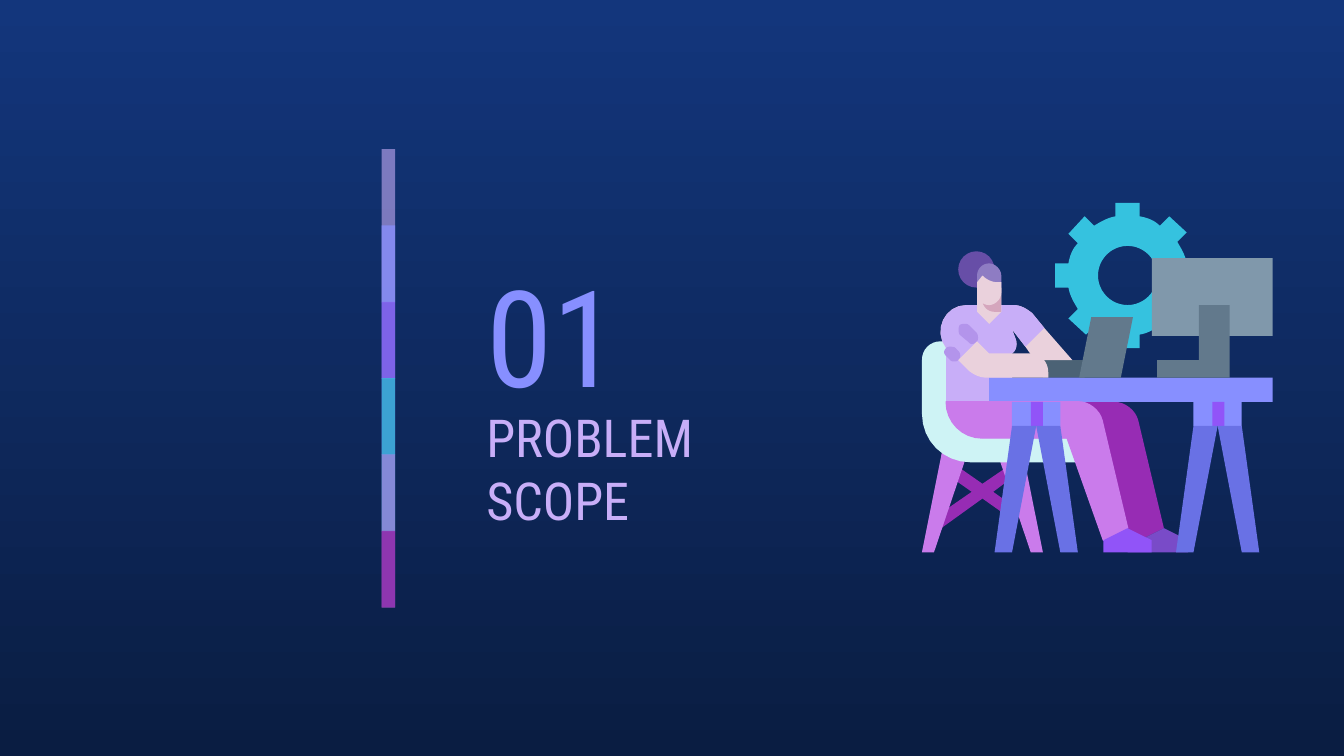
import math

import lxml.etree
import pptx
import pptx.dml.color
import pptx.enum.shapes
import pptx.enum.text
import pptx.oxml.ns
import pptx.util

Inches = pptx.util.Inches
KIND = pptx.enum.shapes.MSO_SHAPE
FONT = "Roboto Condensed"
HUES = {
    "top": "13367C", "base": "0A1D42", "lilac": "C8AEF8", "blue": "878FFF",
    "violet": "9154F8", "cyan": "35C2DF", "orchid": "CA7BEB", "plum": "972CB4",
    "slate": "4B6275", "steel": "62798C", "grey": "8098AB", "mint": "CEF3F5",
    "shoe": "794BC8", "skin": "EAD1DC", "shade": "D5A6BD", "fold": "B394EB",
    "indigo": "6971E5", "bun": "674EA7", "hair": "8E7CC3",
}


def rgb(hue):
    return pptx.dml.color.RGBColor.from_string(HUES[hue])


def paint(shape, hue, alpha=None):
    shape.shadow.inherit = False
    shape.fill.solid()
    shape.fill.fore_color.rgb = rgb(hue)
    shape.line.fill.background()
    if alpha:
        tag = pptx.oxml.ns.qn("a:srgbClr")
        color = next(shape.fill._xPr.iter(tag))
        node = lxml.etree.SubElement(color, pptx.oxml.ns.qn("a:alpha"))
        node.set("val", str(alpha * 1000))
    return shape


def block(shapes, hue, x, y, w, h, kind=KIND.RECTANGLE, alpha=None):
    spot = [Inches(n) for n in (x, y, w, h)]
    return paint(shapes.add_shape(kind, *spot), hue, alpha)


def trace(path):
    """Turn (x, y) corners and six-number Bezier steps into points."""
    points = []
    for step in path:
        if len(step) == 2:
            points.append(step)
            continue
        nodes = [points[-1], step[:2], step[2:4], step[4:]]
        for i in range(1, 9):
            t = i / 8
            parts = ((1 - t) ** 3, 3 * t * (1 - t) ** 2, 3 * t * t * (1 - t), t ** 3)
            points.append(tuple(sum(p * n[k] for p, n in zip(parts, nodes))
                                for k in (0, 1)))
    return points


def draw(shapes, hue, *paths):
    build = None
    for path in paths:
        first, *rest = [(Inches(x), Inches(y)) for x, y in trace(path)]
        if build is None:
            build = shapes.build_freeform(*first)
        else:
            build.move_to(*first)
        build.add_line_segments(rest, close=True)
    return paint(build.convert_to_shape(), hue)


def write(slide, text, size, hue, x, y, w, h):
    box = slide.shapes.add_textbox(Inches(x), Inches(y), Inches(w), Inches(h))
    frame = box.text_frame
    frame.word_wrap = True
    frame.vertical_anchor = pptx.enum.text.MSO_ANCHOR.MIDDLE
    frame.margin_left = frame.margin_right = Inches(0.1)
    frame.margin_top = frame.margin_bottom = Inches(0.1)
    line = frame.paragraphs[0]
    line.text = text
    line.font.name = FONT
    line.font.size = pptx.util.Pt(size)
    line.font.color.rgb = rgb(hue)


def gear(shapes, x, y):
    part = trace([(-.09, -.54), (.09, -.54), (.09, -.44),
                  (.15, -.43, .2, -.41, .24, -.37), (.31, -.44), (.44, -.32),
                  (.37, -.25), (.4, -.2, .43, -.15, .44, -.09)])
    rim = []
    for turn in range(4):
        rim += [(x + a, y + b) for a, b in part]
        part = [(-b, a) for a, b in part]
    angles = [-math.tau * i / 48 for i in range(48)]
    hole = [(x + .22 * math.cos(a), y + .22 * math.sin(a)) for a in angles]
    draw(shapes, "cyan", rim, hole)


def legs(shapes, hue, mid, top, offsets):
    levels = (top, 4.11, 4.11, top)
    for side in (-1, 1):
        draw(shapes, hue, [(mid + side * dx, y) for dx, y in zip(offsets, levels)])


def trestle(shapes, mid):
    block(shapes, "blue", mid - .18, 2.99, .36, .18)
    block(shapes, "violet", mid - .04, 2.99, .09, .18)
    legs(shapes, "indigo", mid, 3.17, (.18, .31, .18, 0))


def thigh(shapes, hue, x, ankle):
    return draw(shapes, hue, [
        (x, 2.99), (x, 3.14, x + .12, 3.26, x + .27, 3.26), (x + .9, 3.26),
        *ankle, (x + 1.35, 3.93), (x + 1.16, 3.13),
        (x + 1.14, 3.05, x + 1.06, 2.99, x + .98, 2.99)])


def shoe(shapes, hue, x, heel):
    draw(shapes, hue, [(x, 3.93), (x - .18, 4.02), (heel, 4.02), (heel, 4.11),
                       (x + .18, 4.11), (x + .18, 4.02)])


def torso(shapes, hue, arm):
    draw(shapes, hue, [
        (7.19, 2.27), (7.03, 2.27, 6.94, 2.46, 7.04, 2.59), (7.04, 2.99),
        (7.53, 2.99), (7.53, 2.63), (7.56, 2.61, 7.57, 2.57, 7.56, 2.53),
        (7.53, 2.45), (7.63, 2.58), *arm, (7.77, 2.44), (7.68, 2.33),
        (7.64, 2.3, 7.6, 2.27, 7.54, 2.27)])


def seat(shapes):
    draw(shapes, "plum", [
        (7.11, 3.46), (7.06, 3.54), (7.23, 3.66), (6.94, 3.86), (6.99, 3.94),
        (7.31, 3.71), (7.48, 3.83), (7.53, 3.76), (7.39, 3.66), (7.55, 3.54),
        (7.5, 3.47), (7.31, 3.6)])
    legs(shapes, "orchid", 7.31, 3.31, (.29, .45, .36, .09))
    draw(shapes, "mint", [
        (7, 2.54), (6.92, 2.54, 6.86, 2.6, 6.86, 2.68), (6.86, 3.08),
        (6.86, 3.28, 7.02, 3.44, 7.22, 3.44), (8.07, 3.44), (8.07, 3.22),
        (7.31, 3.22), (7.19, 3.22, 7.09, 3.12, 7.09, 2.99), (7.09, 2.54)])


def sleeve(shapes):
    draw(shapes, "fold", [
        (7.07, 2.58), (7.06, 2.58, 7.05, 2.58, 7.04, 2.59),
        (7.02, 2.61, 7.02, 2.63, 7.04, 2.65), (7.07, 2.68),
        (7.08, 2.69, 7.09, 2.69, 7.1, 2.69), (7.11, 2.69, 7.12, 2.69, 7.13, 2.68),
        (7.15, 2.66, 7.15, 2.63, 7.13, 2.61), (7.11, 2.59),
        (7.1, 2.58, 7.08, 2.58, 7.07, 2.58)])
    draw(shapes, "fold", [
        (7.18, 2.41), (7.17, 2.41, 7.15, 2.41, 7.14, 2.42),
        (7.13, 2.44, 7.13, 2.47, 7.14, 2.49), (7.2, 2.54),
        (7.21, 2.55, 7.22, 2.56, 7.23, 2.56), (7.25, 2.56, 7.26, 2.55, 7.27, 2.54),
        (7.28, 2.53, 7.28, 2.5, 7.27, 2.48), (7.21, 2.42),
        (7.2, 2.41, 7.19, 2.41, 7.18, 2.41)])


def head(shapes):
    draw(shapes, "shade", [(7.31, 2.14), (7.31, 2.23),
                           (7.31, 2.28, 7.35, 2.32, 7.4, 2.32),
                           (7.45, 2.32), (7.45, 2.14)])
    block(shapes, "bun", 7.13, 1.87, .27, .27, KIND.OVAL)
    draw(shapes, "hair", [(7.36, 1.96), (7.31, 1.96, 7.27, 2, 7.27, 2.05),
                          (7.27, 2.14), (7.45, 2.14), (7.45, 2.05),
                          (7.45, 2, 7.4, 1.96, 7.36, 1.96)])
    draw(shapes, "skin", [
        (7.31, 2.05), (7.27, 2.1), (7.27, 2.18),
        (7.27, 2.23, 7.31, 2.27, 7.36, 2.27), (7.4, 2.27, 7.45, 2.23, 7.45, 2.18),
        (7.45, 2.1), (7.42, 2.1), (7.38, 2.1, 7.34, 2.08, 7.31, 2.05)])


def scene(shapes):
    gear(shapes, 8.39, 2.05)
    block(shapes, "slate", 7.76, 2.68, .31, .13)
    seat(shapes)
    # Far leg, body and desk top
    thigh(shapes, "plum", 7.31, [(8.39, 4.02), (8.48, 4.02)])
    shoe(shapes, "shoe", 8.66, 8.39)
    torso(shapes, "skin", [(7.7, 2.68), (7.98, 2.68)])
    torso(shapes, "lilac", [])
    block(shapes, "blue", 7.36, 2.81, 2.11, .18)
    sleeve(shapes)
    # Neck, near arm and laptop
    draw(shapes, "skin", [(7.27, 2.14), (7.27, 2.32), (7.36, 2.41),
                          (7.45, 2.32), (7.45, 2.14)])
    draw(shapes, "skin", [
        (7.27, 2.54), (7.13, 2.68), (7.21, 2.76),
        (7.25, 2.79, 7.29, 2.81, 7.34, 2.81), (7.8, 2.81), (7.8, 2.77),
        (7.8, 2.69, 7.74, 2.63, 7.67, 2.63), (7.36, 2.63)])
    draw(shapes, "steel", [(8.12, 2.36), (8.03, 2.81), (8.34, 2.81), (8.43, 2.36)])
    # Near leg
    near = thigh(shapes, "orchid", 7.04, [(8.21, 4.02)])
    near.line.color.rgb = rgb("orchid")
    near.line.width = pptx.util.Pt(0.75)
    shoe(shapes, "violet", 8.39, 8.21)
    # Monitor and trestles
    block(shapes, "grey", 8.57, 1.92, .9, .58)
    draw(shapes, "steel", [(8.92, 2.27), (8.92, 2.68), (8.61, 2.68),
                           (8.61, 2.81), (9.15, 2.81), (9.15, 2.27)])
    for mid in (9.06, 7.71):
        trestle(shapes, mid)
    head(shapes)


def main():
    deck = pptx.Presentation()
    # Widescreen, 16 to 9
    deck.slide_width, deck.slide_height = Inches(10), Inches(10 * 9 / 16)
    slide = deck.slides.add_slide(deck.slide_layouts[6])
    # Backdrop
    fill = slide.background.fill
    fill.gradient()
    fill.gradient_angle = 270
    for stop, hue in zip(fill.gradient_stops, ("top", "base")):
        stop.color.rgb = rgb(hue)
    # Colour strip: each bar runs on under the next
    strip = slide.shapes.add_group_shape().shapes
    bars = [("lilac", 59), ("blue", 74), ("violet", 53),
            ("cyan", 76), ("orchid", 56), ("plum", 74)]
    last = len(bars) - 1
    for i, (hue, alpha) in enumerate(bars):
        high = .57 if i == last else 1.14
        block(strip, hue, 2.84, 1.11 + 2.84 * i / last, .1, high, alpha=alpha)
    # Titles
    write(slide, "01", 72, "blue", 3.52, 1.81, 1.75, 1.35)
    write(slide, "PROBLEM\vSCOPE", 28, "lilac", 3.52, 3.15, 2.87, .67)
    # Desk scene
    scene(slide.shapes.add_group_shape().shapes)
    deck.save("out.pptx")


if __name__ == "__main__":
    main()
